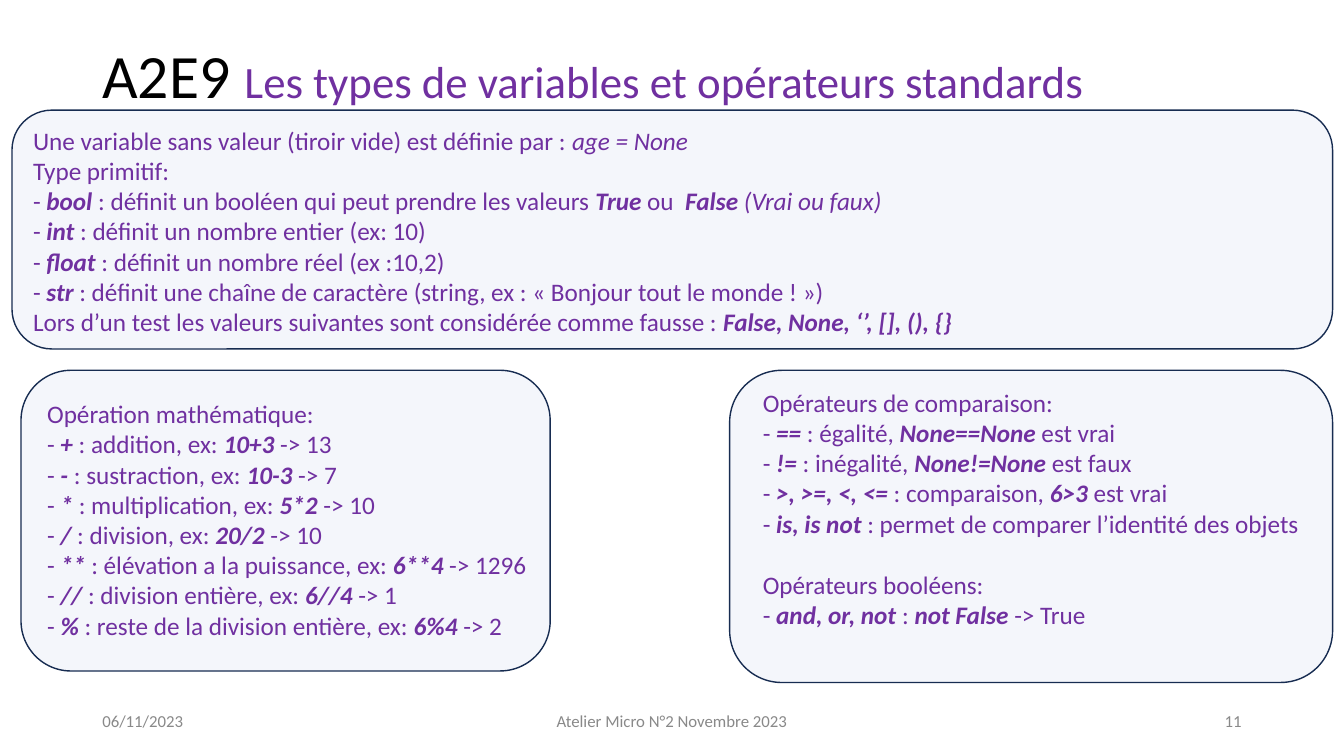
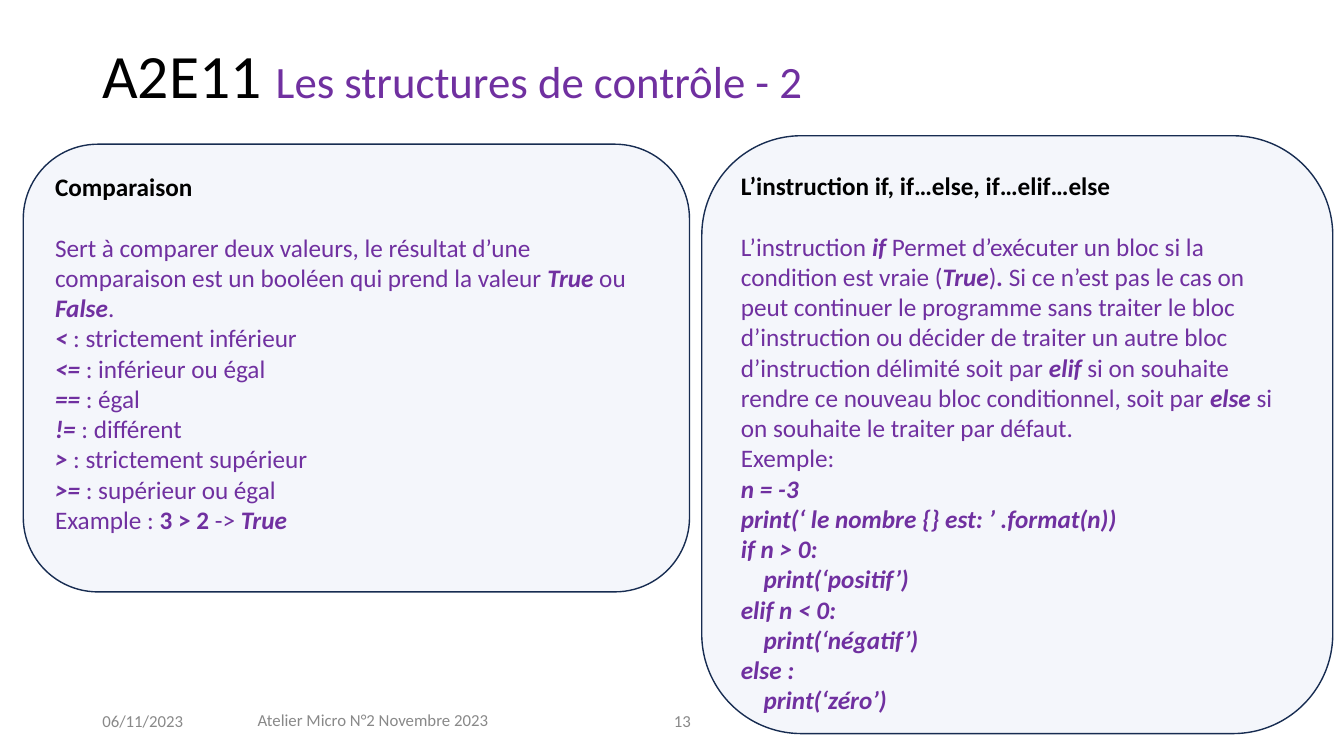
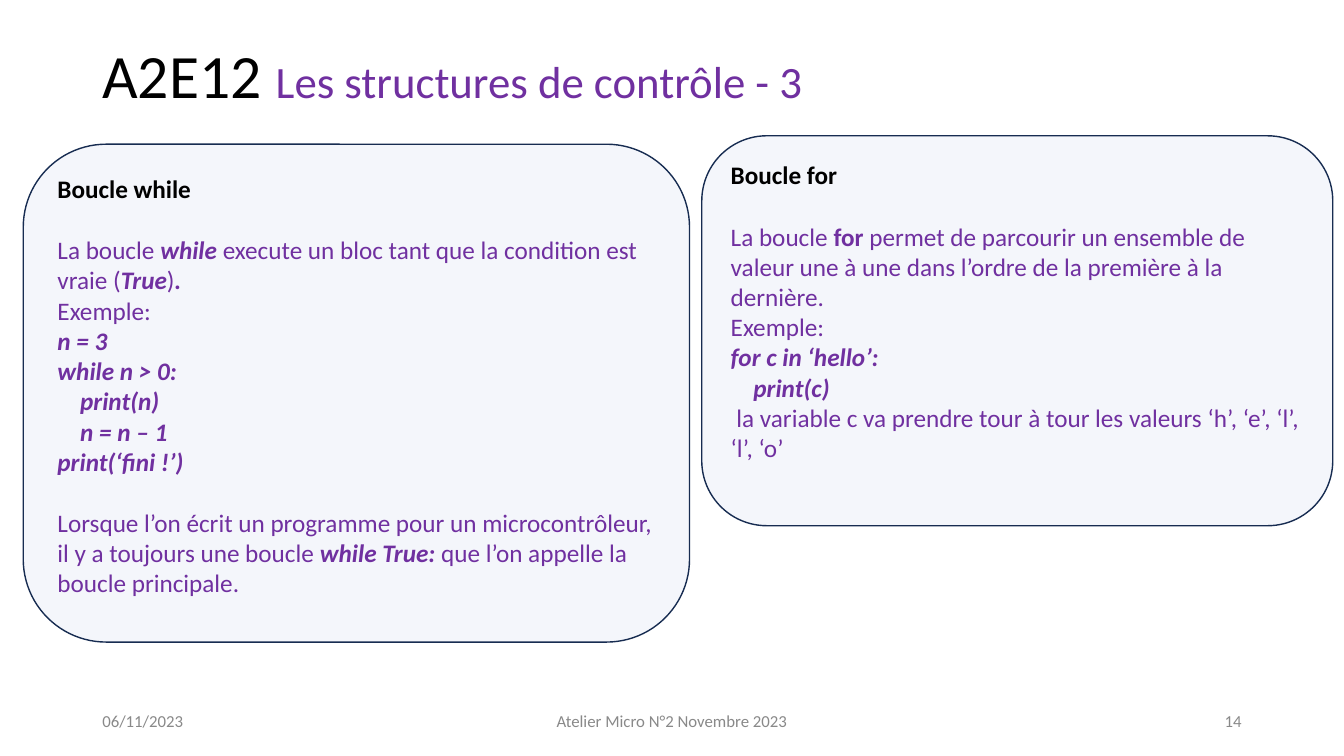
from lxml import etree
from pptx import Presentation
from pptx.dml.color import RGBColor
from pptx.enum.shapes import MSO_SHAPE
from pptx.enum.text import MSO_ANCHOR, PP_ALIGN
from pptx.oxml.ns import qn
from pptx.util import Pt

ROUNDED = MSO_SHAPE.ROUNDED_RECTANGLE
TOP, MIDDLE = MSO_ANCHOR.TOP, MSO_ANCHOR.MIDDLE
LEFT, CENTER, RIGHT = PP_ALIGN.LEFT, PP_ALIGN.CENTER, PP_ALIGN.RIGHT

FONT = "Calibri"
COLORS = {
    "heading": "000000",
    "body": "7030A0",
    "footer": "898989",
    "panel": "4472C4",
    "outline": "172C51",
}
BODY_SIZE = 18
BLOCK_GAP = 22
PANEL_ALPHA = "6000"

# Left, top and width of the two columns on the control structure slides
LEFT_COLUMN = (16.6, 103, 475.9)
RIGHT_COLUMN = (501.3, 97, 450.7)
# Left and top of the footer text, and left of the slide number
FOOTER = (318, 500.5, 678)
NARROW_FOOTER = (104.5, 499.7, 284.5)

# Panels are (frame, text frame or None, blocks of paragraphs);
# ^ switches bold and _ switches italic
SLIDES = [
    {
        "code": "A2E9", "title": "Les types de variables et opérateurs standards",
        "number": "11", "footer": FOOTER,
        "panels": [
            ((15, 264.5, 378, 214.8), (26.6, 281, 405.4, 181.4), [[
                "Opération mathématique:",
                "-^_ +_^ : addition, ex: ^_10+3 _^-> 13",
                "-^_ -_^ : sustraction, ex: ^_10-3 _^-> 7",
                "- ^_* _^: multiplication, ex: ^_5*2 _^-> 10",
                "- ^_/_^ : division, ex: ^_20/2 _^-> 10",
                "- ^_**_^ : élévation a la puissance, ex: ^_6**4_^ -> 1296",
                "- ^_//_^ : division entière, ex: ^_6//4_^ -> 1",
                "- ^_%_^ : reste de la division entière, ex: ^_6%4_^ -> 2",
            ]]),
            ((8.6, 78.7, 943.3, 170.6), (16.5, 85.7, 683.3, 160), [[
                "Une variable sans valeur (tiroir vide) est définie par : _age = None_",
                "Type primitif:",
                "- ^_bool_^ : définit un booléen qui peut prendre les valeurs "
                "^_True_^ ou ^_ False _^_(Vrai ou faux)_",
                "- ^_int_^ : définit un nombre entier (ex: 10)",
                "- ^_float_^ : définit un nombre réel (ex :10,2)",
                "- ^_str_^ : définit une chaîne de caractère "
                "(string, ex : « Bonjour tout le monde ! »)",
                "Lors d’un test les valeurs suivantes sont considérée comme fausse : "
                "^_False, None, ‘’, [], (), {}_^",
            ]]),
            ((521.2, 264.5, 430.7, 223), (537.8, 272.8, 405.4, 181.4), [[
                "Opérateurs de comparaison:",
                "- ^_==_^ : égalité, ^_None==None_^ est vrai",
                "- ^_!=_^ : inégalité, ^_None!=None_^ est faux",
                "- ^_>, >=, <, <=_^ : comparaison, ^_6>3_^ est vrai",
                "- ^_is, is not_^ : permet de comparer l’identité des objets",
            ], [
                "Opérateurs booléens:",
                "- ^_and, or, not_^ : ^_not False_^ -> True",
            ]]),
        ],
    },
    {
        "code": "A2E11", "title": "Les structures de contrôle - 2",
        "number": "13", "footer": NARROW_FOOTER,
        "panels": [
            ((*LEFT_COLUMN, 319.8), None, [["Comparaison"], [
                "Sert à comparer deux valeurs, le résultat d’une comparaison est "
                "un booléen qui prend la valeur ^_True_^ ou ^_False_^.",
                "^_<_^ : strictement inférieur",
                "^_<=_^ : inférieur ou égal",
                "^_==_^ : égal",
                "^_!=_^ : différent",
                "^_>_^ : strictement supérieur",
                "^_>=_^ : supérieur ou égal",
                "Example : ^3 > 2 ^->^_ True_^",
            ]]),
            ((*RIGHT_COLUMN, 427), None, [["L’instruction if, if…else, if…elif…else"], [
                "L’instruction ^_if_^ Permet d’exécuter un bloc si la condition est "
                "vraie (^_True_^)^_. _^Si ce n’est pas le cas on peut continuer le "
                "programme sans traiter le bloc d’instruction ou décider de traiter "
                "un autre bloc d’instruction délimité soit par ^_elif_^ si on "
                "souhaite rendre ce nouveau bloc conditionnel, soit par ^_else_^ si "
                "on souhaite le traiter par défaut.",
                "Exemple:",
                "^_n = -3_^",
                "^_print(‘ le nombre {} est: ’ .format(n))_^",
                "^_if n > 0:_^",
                "^_    print(‘positif’)_^",
                "^_elif n < 0:_^",
                "^_    print(‘négatif’)_^",
                "^_else :_^",
                "^_    print(‘zéro’)_^",
            ]]),
        ],
    },
    {
        "code": "A2E12", "title": "Les structures de contrôle - 3",
        "number": "14", "footer": FOOTER,
        "panels": [
            ((*LEFT_COLUMN, 355.6), None, [["Boucle while"], [
                "La boucle ^_while_^ execute un bloc tant que la condition est "
                "vraie (^_True_^)^_._^",
                "Exemple:",
                "^_n = 3_^",
                "^_while n > 0:_^",
                "^_    print(n)_^",
                "^_    n = n – 1_^",
                "^_print(‘fini !’)_^",
            ], [
                "Lorsque l’on écrit un programme pour un microcontrôleur, il y a "
                "toujours une boucle ^_while True:_^ que l’on appelle la boucle "
                "principale.",
            ]]),
            ((*RIGHT_COLUMN, 278.5), None, [["Boucle for"], [
                "La boucle ^for^ permet de parcourir un ensemble de valeur une à "
                "une dans l’ordre de la première à la dernière.",
                "Exemple:",
                "^_for c in ‘hello’:_^",
                "^_    print(c)_^",
                " la variable c va prendre tour à tour les valeurs ‘h’, ‘e’, ‘l’, "
                "‘l’, ‘o’",
            ]]),
        ],
    },
]


def add_run(paragraph, text, size, color, bold=False, italic=False):
    run = paragraph.add_run()
    run.text = text
    run.font.name = FONT
    run.font.size = Pt(size)
    run.font.bold = bold
    run.font.italic = italic
    run.font.color.rgb = RGBColor.from_string(COLORS[color])


def add_text_box(slide, frame, anchor=TOP):
    text_frame = slide.shapes.add_textbox(*map(Pt, frame)).text_frame
    text_frame.word_wrap = True
    text_frame.vertical_anchor = anchor
    return text_frame


presentation = Presentation()
presentation.slide_width = Pt(960)
presentation.slide_height = Pt(540)

for content in SLIDES:
    slide = presentation.slides.add_slide(presentation.slide_layouts[6])

    # Title
    paragraph = add_text_box(slide, (66, 28.8, 828, 49.7)).paragraphs[0]
    paragraph.line_spacing = 0.9
    add_run(paragraph, content["code"] + " ", 44, "heading")
    add_run(paragraph, content["title"], 32, "body")

    for frame, text_area, blocks in content["panels"]:
        # Translucent rounded panel
        panel = slide.shapes.add_shape(ROUNDED, *map(Pt, frame))
        panel.shadow.inherit = False
        panel.fill.solid()
        panel.fill.fore_color.rgb = RGBColor.from_string(COLORS["panel"])
        fill_color = panel._element.spPr.find(qn("a:solidFill"))[0]
        etree.SubElement(fill_color, qn("a:alpha")).set("val", PANEL_ALPHA)
        panel.line.color.rgb = RGBColor.from_string(COLORS["outline"])
        panel.line.width = Pt(1)

        # Panel text; a panel holding its own text opens with a heading
        has_heading = text_area is None
        if has_heading:
            text_frame = panel.text_frame
            text_frame.word_wrap = True
            text_frame.vertical_anchor = TOP
        else:
            text_frame = add_text_box(slide, text_area)
        for block_index, block in enumerate(blocks):
            is_heading = has_heading and block_index == 0
            for line_index, line in enumerate(block):
                if block_index == line_index == 0:
                    paragraph = text_frame.paragraphs[0]
                else:
                    paragraph = text_frame.add_paragraph()
                paragraph.alignment = LEFT
                if block_index > 0 and line_index == 0:
                    paragraph.space_before = Pt(BLOCK_GAP)
                for bold_index, part in enumerate(line.split("^")):
                    for italic_index, text in enumerate(part.split("_")):
                        if text:
                            add_run(paragraph, text, BODY_SIZE,
                                    "heading" if is_heading else "body",
                                    is_heading or bold_index % 2 == 1,
                                    italic_index % 2 == 1)

    # Slide number, date and footer
    footer_left, footer_top, number_left = content["footer"]
    for text, left, top, width, alignment in [
        (content["number"], number_left, 500.5, 216, RIGHT),
        ("06/11/2023", 66, 500.5, 216, LEFT),
        ("Atelier Micro N°2 Novembre 2023", footer_left, footer_top, 324, CENTER),
    ]:
        paragraph = add_text_box(slide, (left, top, width, 28.8), MIDDLE).paragraphs[0]
        paragraph.alignment = alignment
        add_run(paragraph, text, 12, "footer")

presentation.save("out.pptx")
